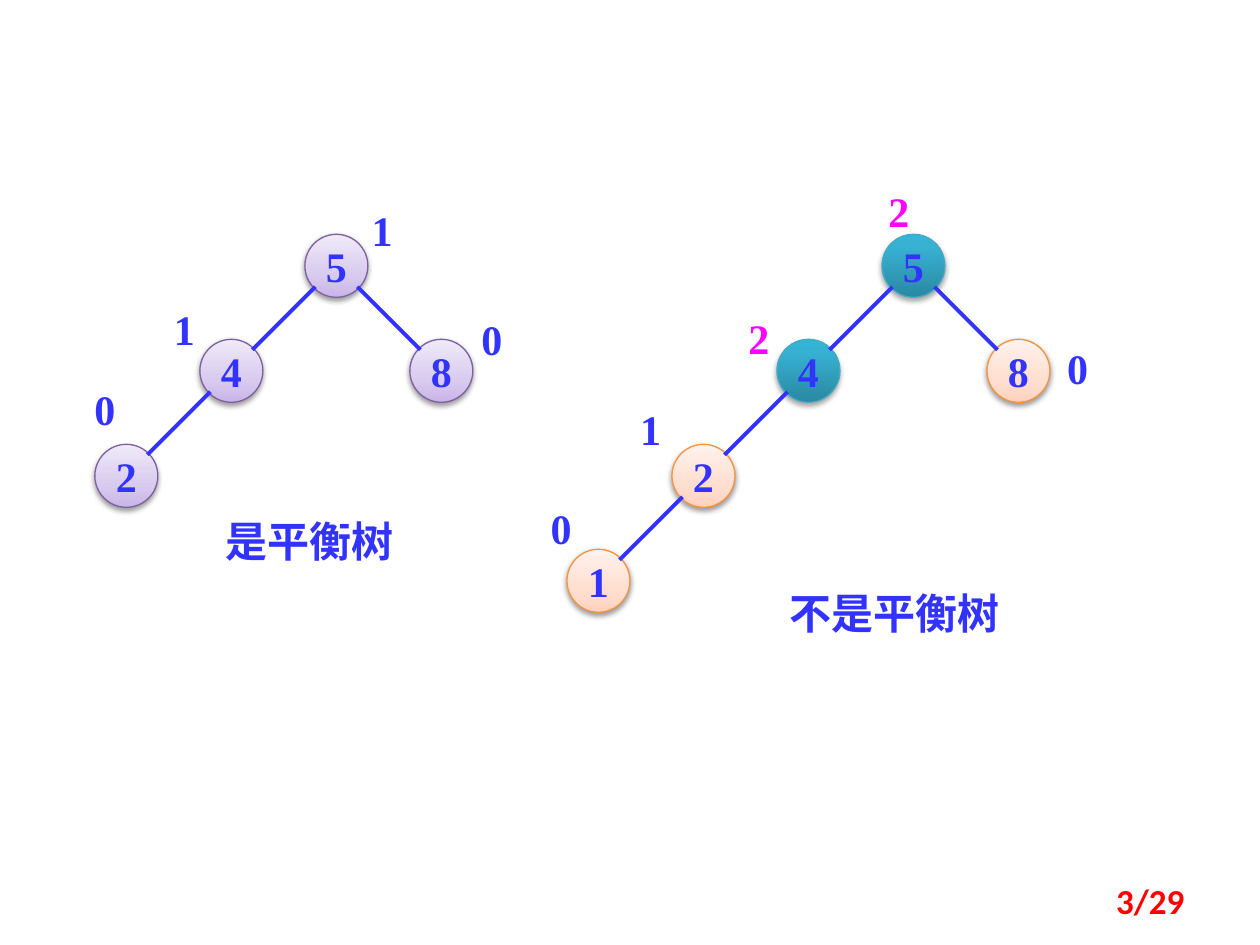
from lxml import etree
from pptx import Presentation
from pptx.dml.color import RGBColor
from pptx.enum.shapes import MSO_CONNECTOR, MSO_SHAPE
from pptx.enum.text import MSO_ANCHOR, PP_ALIGN
from pptx.oxml.ns import qn
from pptx.util import Inches, Pt

BLUE = RGBColor(0x33, 0x33, 0xFF)
MAGENTA = RGBColor(0xFF, 0x00, 0xFF)
RED = RGBColor(0xFF, 0x00, 0x00)
WHITE = RGBColor(0xFF, 0xFF, 0xFF)

# Node styles: gradient stops from bottom to top, outline, shadow opacity
# in percent and shadow distance in points
PURPLE_NODE = (((0, RGBColor(0xC9, 0xB5, 0xE8)), (35, RGBColor(0xD8, 0xCB, 0xEE)),
                (100, RGBColor(0xF0, 0xEA, 0xF9))), RGBColor(0x7D, 0x60, 0xA0), 38, 1.6)
ORANGE_NODE = (((0, RGBColor(0xFF, 0xD2, 0xBD)), (35, RGBColor(0xFF, 0xDE, 0xD0)),
                (100, RGBColor(0xFF, 0xF2, 0xED))), RGBColor(0xF6, 0x92, 0x40), 38, 1.6)
TEAL_NODE = (((0, RGBColor(0x2A, 0x88, 0xA2)), (80, RGBColor(0x37, 0xB1, 0xD2)),
              (100, RGBColor(0x34, 0xB4, 0xD6))), RGBColor(0x46, 0xAA, 0xC5), 35, 1.8)

SERIF, CJK, SANS = "Times New Roman", "Noto Sans CJK SC", "Calibri"
NODE = 0.5           # node diameter
STEP = 5 / 6         # distance between levels, and between columns
EDGE_GAP = 1 / 6     # offset of an edge end from the node centre
ROOT_Y = 2.11        # centre of both roots


def write(shape, text, font, size=24, color=BLUE, align=PP_ALIGN.LEFT):
    paragraph = shape.text_frame.paragraphs[0]
    paragraph.alignment = align
    run = paragraph.add_run()
    run.text = text
    run.font.name, run.font.size, run.font.bold = font, Pt(size), True
    run.font.color.rgb = color
    east_asian = etree.SubElement(run.font._element, qn("a:ea"))
    east_asian.set("typeface", font)


def add_color(parent, color):
    node = etree.SubElement(parent, qn("a:srgbClr"))
    node.set("val", str(color))
    return node


def set_gradient(shape, stops):
    shape.fill.gradient()
    shape.fill.gradient_angle = 90
    stop_list = shape._element.spPr.find(".//" + qn("a:gsLst"))
    for old in list(stop_list):
        stop_list.remove(old)
    for position, color in stops:
        stop = etree.SubElement(stop_list, qn("a:gs"))
        stop.set("pos", str(position * 1000))
        add_color(stop, color)


def set_shadow(shape, opacity, distance):
    shape.shadow.inherit = False
    effects = shape._element.spPr.find(qn("a:effectLst"))
    shadow = etree.SubElement(effects, qn("a:outerShdw"))
    settings = {"blurRad": Pt(3.1), "dist": Pt(distance), "dir": 5400000, "rotWithShape": 0}
    for key, value in settings.items():
        shadow.set(key, str(int(value)))
    alpha = etree.SubElement(add_color(shadow, RGBColor(0, 0, 0)), qn("a:alpha"))
    alpha.set("val", str(opacity * 1000))


def add_node(shapes, x, y, text, style):
    stops, outline, opacity, distance = style
    node = shapes.add_shape(MSO_SHAPE.OVAL, Inches(x - NODE / 2), Inches(y - NODE / 2),
                            Inches(NODE), Inches(NODE))
    set_gradient(node, stops)
    node.line.color.rgb, node.line.width = outline, Pt(0.75)
    set_shadow(node, opacity, distance)
    node.text_frame.word_wrap = False
    node.text_frame.vertical_anchor = MSO_ANCHOR.MIDDLE
    write(node, text, SERIF, align=PP_ALIGN.CENTER)


def add_edge(shapes, x, y, side):
    """Join the node at x, y to its left (-1) or right (1) child."""
    near, far = EDGE_GAP, STEP - EDGE_GAP
    edge = shapes.add_connector(MSO_CONNECTOR.STRAIGHT,
                                Inches(x + side * near), Inches(y + near),
                                Inches(x + side * far), Inches(y + far))
    edge.line.color.rgb, edge.line.width = BLUE, Pt(2.25)
    etree.SubElement(edge._element.spPr, qn("a:effectLst"))


def add_tree(slide, root_x, nodes):
    """Nodes are (column, level, key, style); the root is at 0, 0."""
    shapes = slide.shapes.add_group_shape().shapes
    for column, level, key, style in nodes:
        add_node(shapes, root_x + column * STEP, ROOT_Y + level * STEP, key, style)
    for column, level, _, _ in nodes[1:]:
        side = 1 if column > 0 else -1
        add_edge(shapes, root_x + (column - side) * STEP, ROOT_Y + (level - 1) * STEP, side)


def add_heights(slide, labels):
    shapes = slide.shapes.add_group_shape().shapes
    for x, y, text, color in labels:
        box = shapes.add_textbox(Inches(x), Inches(y), Inches(0.47), Inches(0.4))
        frame = box.text_frame
        frame.word_wrap = True
        frame.margin_left = frame.margin_right = frame.margin_top = frame.margin_bottom = 0
        write(box, text, SERIF, color=color)


def add_caption(slide, x, y, width, text):
    box = slide.shapes.add_shape(MSO_SHAPE.RECTANGLE, Inches(x), Inches(y),
                                 Inches(width), Inches(0.51))
    box.fill.background()
    box.line.color.rgb, box.line.width = WHITE, Pt(0.75)
    box.shadow.inherit = False
    box.text_frame.word_wrap = True
    box.text_frame.vertical_anchor = MSO_ANCHOR.TOP
    write(box, text, CJK)


def add_page_number(slide, text):
    box = slide.shapes.add_textbox(Inches(7.17), Inches(6.95), Inches(2.33), Inches(0.4))
    box.text_frame.word_wrap = True
    box.text_frame.vertical_anchor = MSO_ANCHOR.MIDDLE
    write(box, text, SANS, 20, RED, PP_ALIGN.RIGHT)


def main():
    prs = Presentation()
    prs.slide_width, prs.slide_height = Inches(10), Inches(7.5)
    slide = prs.slides.add_slide(prs.slide_layouts[6])

    # Balanced tree
    add_tree(slide, 2.67, [(0, 0, "5", PURPLE_NODE), (-1, 1, "4", PURPLE_NODE),
                           (1, 1, "8", PURPLE_NODE), (-2, 2, "2", PURPLE_NODE)])
    add_caption(slide, 1.69, 4.04, 1.67, "是平衡树")
    add_heights(slide, [(0.75, 3.04, "0", BLUE), (1.38, 2.41, "1", BLUE),
                        (3.82, 2.49, "0", BLUE), (2.95, 1.62, "1", BLUE)])

    # Unbalanced tree
    add_tree(slide, 7.25, [(0, 0, "5", TEAL_NODE), (-1, 1, "4", TEAL_NODE),
                           (1, 1, "8", ORANGE_NODE), (-2, 2, "2", ORANGE_NODE),
                           (-3, 3, "1", ORANGE_NODE)])
    add_caption(slide, 6.17, 4.61, 2.92, "不是平衡树")
    add_heights(slide, [(4.37, 3.99, "0", BLUE), (5.08, 3.2, "1", BLUE),
                        (5.94, 2.48, "2", MAGENTA), (8.47, 2.72, "0", BLUE),
                        (7.05, 1.47, "2", MAGENTA)])

    add_page_number(slide, "3/29")
    prs.save("out.pptx")


main()
